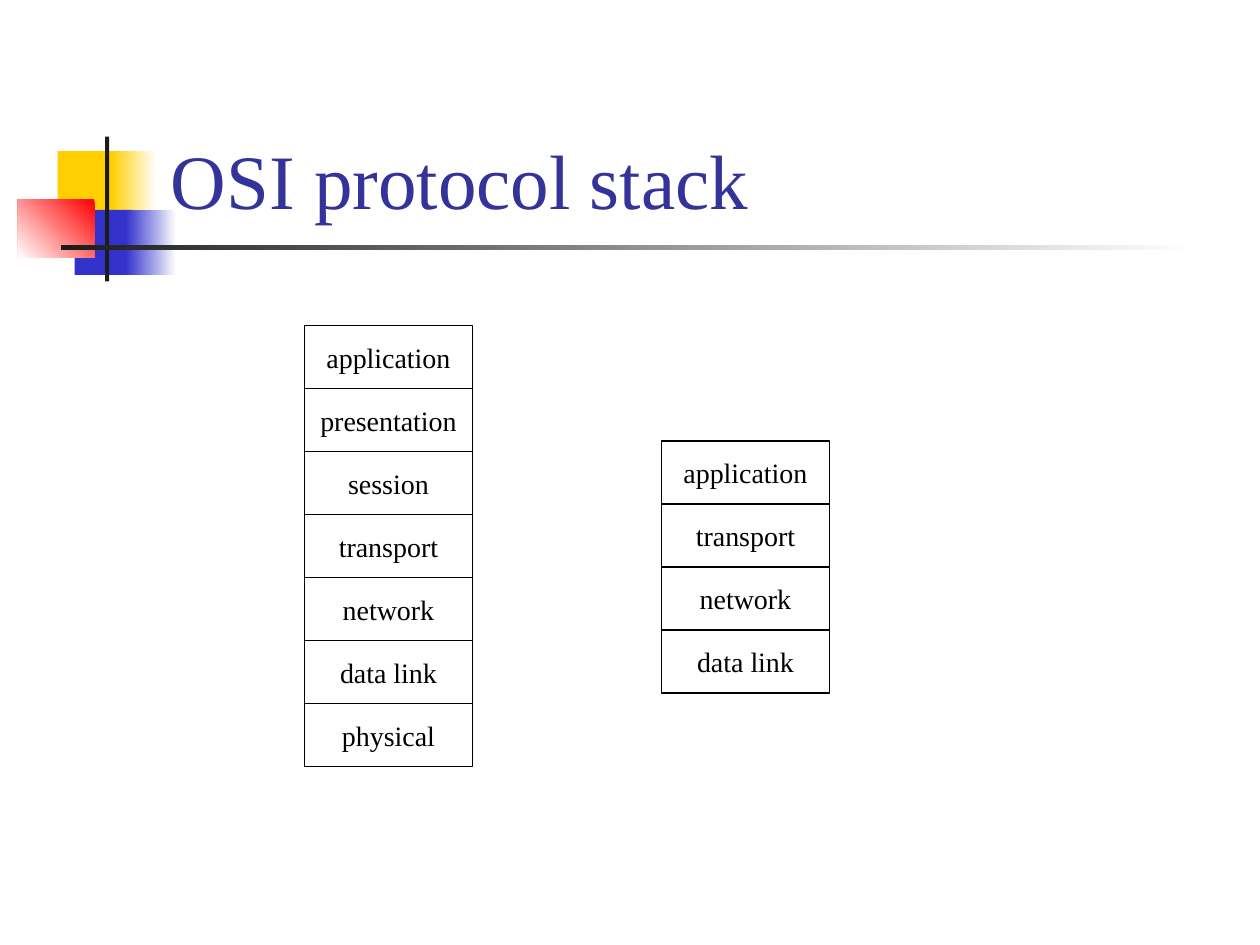
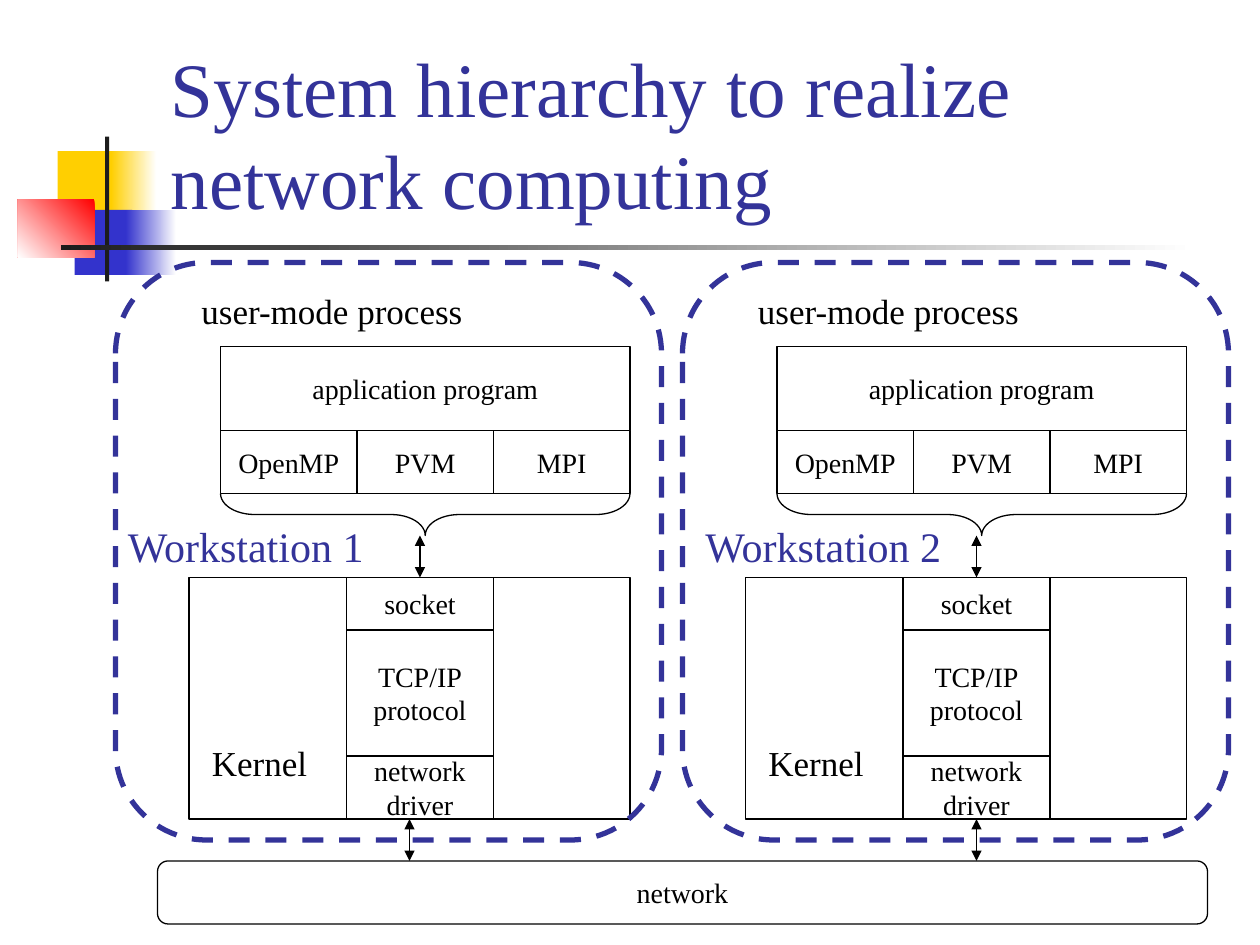
from typing import NamedTuple

from lxml import etree
from pptx import Presentation
from pptx.dml.color import RGBColor
from pptx.enum.dml import MSO_LINE
from pptx.enum.shapes import MSO_CONNECTOR, MSO_SHAPE
from pptx.enum.text import MSO_ANCHOR, PP_ALIGN
from pptx.oxml.ns import qn
from pptx.util import Emu, Pt

RECT = MSO_SHAPE.RECTANGLE
ROUND = MSO_SHAPE.ROUNDED_RECTANGLE
BRACE = MSO_SHAPE.LEFT_BRACE
STRAIGHT = MSO_CONNECTOR.STRAIGHT
DASH = MSO_LINE.DASH
CENTER, LEFT = PP_ALIGN.CENTER, PP_ALIGN.LEFT
TOP, MIDDLE, BOTTOM = MSO_ANCHOR.TOP, MSO_ANCHOR.MIDDLE, MSO_ANCHOR.BOTTOM

EMU_PER_PX = 7620
FONT = "Times New Roman"
BLACK, WHITE, NAVY = "000000", "FFFFFF", "333399"
YELLOW, BLUE, RED, DARK = "FFCF01", "3333CC", "FF0000", "1C1C1C"


class Box(NamedTuple):
    x: int
    y: int
    w: int
    h: int


class Block(NamedTuple):
    box: Box
    text: str


class Decor(NamedTuple):
    box: Box
    color: str
    fade_angle: int | None = None


class Workstation(NamedTuple):
    name: str
    x: int
    frame_x: int
    name_x: int
    link_x: int


TITLE_BOX = Box(151, 28, 1022, 192)
DECORS = [
    Decor(Box(55, 144, 58, 62), YELLOW),
    Decor(Box(106, 144, 43, 62), YELLOW, 0),
    Decor(Box(71, 200, 55, 62), BLUE),
    Decor(Box(120, 200, 48, 62), BLUE, 0),
    Decor(Box(17, 190, 73, 55), RED, 225),
    Decor(Box(100, 130, 4, 138), DARK),
    Decor(Box(58, 233, 1080, 5), DARK, 0),
]
OSI_LAYERS = ["application", "presentation", "session", "transport",
              "network", "data link", "physical"]
INTERNET_LAYERS = ["application", "transport", "network", "data link"]
LIBRARIES = ["OpenMP", "PVM", "MPI"]
WORKSTATIONS = [
    Workstation("Workstation 1", 180, 110, 110, 390),
    Workstation("Workstation 2", 710, 650, 660, 930),
]
NETWORK_BOX = Box(150, 820, 1000, 60)


def px(n: int) -> Emu:
    return Emu(n * EMU_PER_PX)


def rgb(color: str) -> RGBColor:
    return RGBColor.from_string(color)


def place(box: Box) -> list[Emu]:
    return [px(n) for n in box]


def write(sp, text: str, *, size=16, color=BLACK, align=CENTER,
          anchor=MIDDLE, wrap=False):
    tf = sp.text_frame
    tf.word_wrap = wrap
    tf.vertical_anchor = anchor
    for i, line in enumerate(text.split("\n")):
        p = tf.add_paragraph() if i else tf.paragraphs[0]
        p.alignment = align
        r = p.add_run()
        r.text = line
        r.font.name = FONT
        r.font.size = Pt(size)
        r.font.color.rgb = rgb(color)


def add_label(s, box: Box, text: str, *, size=20, color=BLACK,
              anchor=TOP, wrap=False):
    sp = s.shapes.add_textbox(*place(box))
    write(sp, text, size=size, color=color, align=LEFT,
          anchor=anchor, wrap=wrap)


def add_outline(s, box: Box, *, kind=RECT, color=BLACK, width=0.75):
    sp = s.shapes.add_shape(kind, *place(box))
    sp.shadow.inherit = False
    sp.fill.background()
    sp.line.color.rgb = rgb(color)
    sp.line.width = Pt(width)
    return sp


def add_block(s, block: Block, kind=RECT):
    sp = add_outline(s, block.box, kind=kind)
    write(sp, block.text)
    return sp


def add_decor(s, decor: Decor):
    sp = s.shapes.add_shape(RECT, *place(decor.box))
    sp.shadow.inherit = False
    sp.line.fill.background()
    if decor.fade_angle is None:
        sp.fill.solid()
        sp.fill.fore_color.rgb = rgb(decor.color)
        return
    sp.fill.gradient()
    sp.fill.gradient_angle = decor.fade_angle
    stops = zip(sp.fill.gradient_stops, (decor.color, WHITE), (0, 1))
    for stop, color, position in stops:
        stop.color.rgb = rgb(color)
        stop.position = position


def add_double_arrow(s, x: int, top: int, bottom: int):
    c = s.shapes.add_connector(STRAIGHT, px(x), px(top), px(x), px(bottom))
    c.line.color.rgb = rgb(BLACK)
    c.line.width = Pt(0.75)
    ln = c.line._get_or_add_ln()
    for end in ("a:headEnd", "a:tailEnd"):
        etree.SubElement(ln, qn(end), type="triangle")
    etree.SubElement(c._element.spPr, qn("a:effectLst"))
    return c


def add_titled_slide(prs, title: str):
    s = prs.slides.add_slide(prs.slide_layouts[6])
    for decor in DECORS:
        add_decor(s, decor)
    add_label(s, TITLE_BOX, title, size=44, color=NAVY,
              anchor=BOTTOM, wrap=True)
    return s


def add_layer_stack(s, x: int, y: int, layers: list[str]):
    w, h = 160, 60
    for i, layer in enumerate(layers):
        add_block(s, Block(Box(x, y + i * h, w, h), layer))


def add_software(s, x: int):
    left, w = x + 30, 130
    for i, library in enumerate(LIBRARIES):
        add_block(s, Block(Box(left + i * w, 410, w, 60), library))
    add_block(s, Block(Box(left, 330, 3 * w, 80), "application program"))
    add_label(s, Box(x, 270, 280, 53), "user-mode process")

    add_outline(s, Box(x, 550, 420, 230))
    socket, _, driver = [
        add_block(s, Block(Box(x + 150, y, 140, h), text))
        for y, h, text in [(550, 50, "socket"),
                           (600, 120, "TCP/IP\nprotocol"),
                           (720, 60, "network\ndriver")]
    ]
    add_label(s, Box(x + 10, 700, 120, 53), "Kernel")

    brace = add_outline(s, Box(x + 205, 295, 40, 390), kind=BRACE)
    brace.rotation = 270
    brace.adjustments[0] = 0.81
    arrow = add_double_arrow(s, x + 220, 510, 550)
    arrow.end_connect(socket, 0)
    return driver


def add_frame(s, ws: Workstation):
    frame = add_outline(s, Box(ws.frame_x, 250, 520, 550), kind=ROUND,
                        color=NAVY, width=3)
    frame.line.dash_style = DASH
    add_label(s, Box(ws.name_x, 490, 256, 60), ws.name, size=24, color=NAVY)


def build_stack_slide(prs):
    s = add_titled_slide(prs, "OSI protocol stack")
    add_layer_stack(s, 290, 310, OSI_LAYERS)
    add_layer_stack(s, 630, 420, INTERNET_LAYERS)


def build_hierarchy_slide(prs):
    s = add_titled_slide(prs, "System hierarchy to realize network computing")
    drivers = [add_software(s, ws.x) for ws in WORKSTATIONS]
    add_block(s, Block(NETWORK_BOX, "network"), ROUND)
    for ws, driver in zip(WORKSTATIONS, drivers):
        link = add_double_arrow(s, ws.link_x, 780, NETWORK_BOX.y)
        if px(ws.link_x) == driver.left + driver.width // 2:
            link.begin_connect(driver, 2)
    for ws in WORKSTATIONS:
        add_frame(s, ws)


def main():
    prs = Presentation()
    prs.slide_width, prs.slide_height = px(1200), px(900)
    build_stack_slide(prs)
    build_hierarchy_slide(prs)
    prs.save("out.pptx")


if __name__ == "__main__":
    main()
